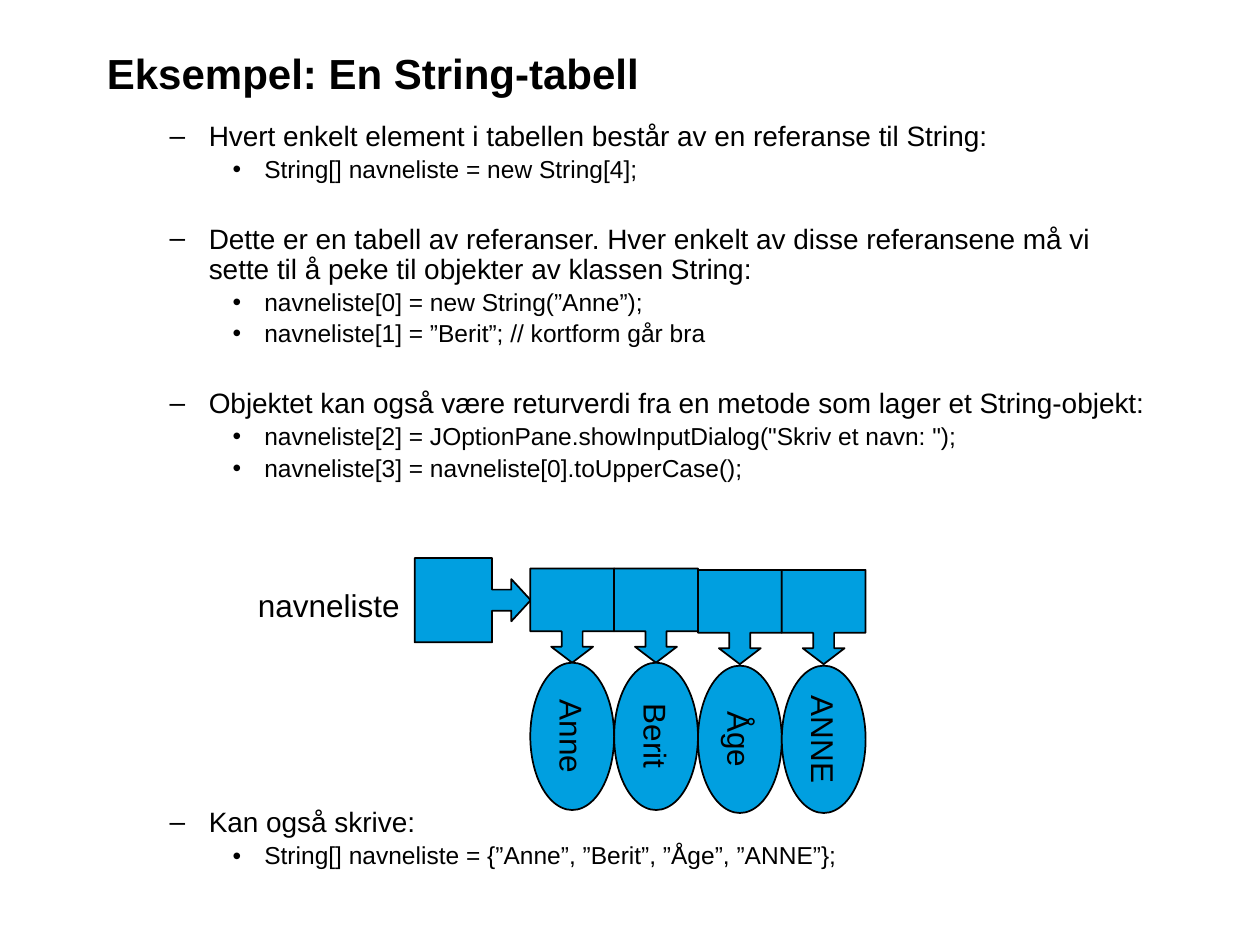
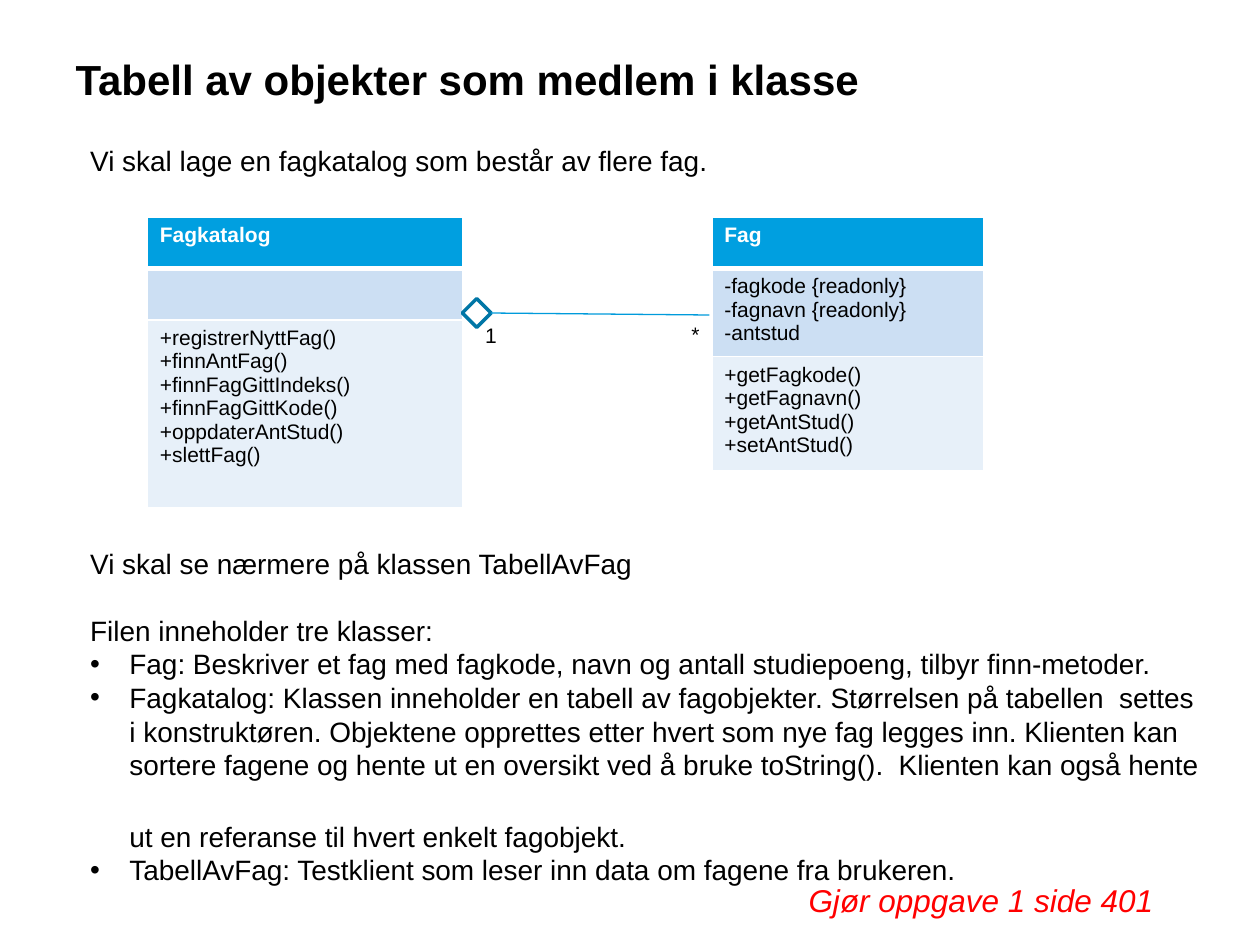
from lxml import etree
from pptx import Presentation
from pptx.dml.color import RGBColor
from pptx.enum.shapes import MSO_CONNECTOR, MSO_SHAPE
from pptx.enum.text import MSO_ANCHOR, PP_ALIGN
from pptx.oxml.ns import qn
from pptx.util import Cm, Pt

LEFT, CENTER = PP_ALIGN.LEFT, PP_ALIGN.CENTER
MIDDLE = MSO_ANCHOR.MIDDLE
RIGHT_CALLOUT = MSO_SHAPE.RIGHT_ARROW_CALLOUT
DOWN_CALLOUT = MSO_SHAPE.DOWN_ARROW_CALLOUT
OVAL, DIAMOND = MSO_SHAPE.OVAL, MSO_SHAPE.DIAMOND
STRAIGHT = MSO_CONNECTOR.STRAIGHT

FONT = "Arial"
BLACK, WHITE, RED = "000000", "FFFFFF", "FF0000"
BLUE, LINE_BLUE, DARK_BLUE = "009FE0", "009BDB", "0076A6"
ROW_FILLS = [BLUE, "CCDFF3", "E7F0F9"]


def rgb(value):
    return RGBColor.from_string(value)


def add_text(tf, text, size=16, color=BLACK, bold=False, italic=False, align=LEFT,
             bullet=None, margin=0, hang=0, before=0, spacing=None):
    """Add a paragraph; a newline in the text becomes a line break."""
    p = tf.paragraphs[0]
    if p.runs:
        p = tf.add_paragraph()
    p.alignment = align
    p.space_before = Pt(before)
    if spacing:
        p.line_spacing = spacing
    for i, part in enumerate(text.split("\n")):
        if i:
            p.add_line_break()
        r = p.add_run()
        r.text = part
        r.font.name, r.font.size = FONT, Pt(size)
        r.font.bold, r.font.italic = bold, italic
        r.font.color.rgb = rgb(color)
    if bullet:
        pPr = p._p.get_or_add_pPr()
        pPr.set("marL", str(Cm(margin)))
        pPr.set("indent", str(-Cm(hang)))
        etree.SubElement(pPr, qn("a:buFont"), typeface=FONT)
        etree.SubElement(pPr, qn("a:buChar"), char=bullet)


prs = Presentation()
prs.slide_width, prs.slide_height = Cm(25.4), Cm(19.05)

# Slides and titles
slides = []
for title, box in [
    ("Eksempel: En String-tabell", (1.9, 0.84, 21.59, 1.27)),
    ("Tabell av objekter som medlem i klasse", (1.27, 0, 20.55, 3.18)),
]:
    s = prs.slides.add_slide(prs.slide_layouts[5])
    sp = s.shapes.title
    sp.left, sp.top, sp.width, sp.height = [Cm(v) for v in box]
    sp.text_frame.vertical_anchor = MIDDLE
    add_text(sp.text_frame, title, size=24, bold=True)
    slides.append(s)
array_slide, class_slide = slides

# Slide 1: bullet text as (level, text, space before)
tf = array_slide.shapes.add_textbox(Cm(1.9), Cm(2.34), Cm(21.59), Cm(16)).text_frame
tf.word_wrap = True
levels = {
    1: dict(size=16, bullet="–", margin=2.06, hang=0.79),
    2: dict(size=14, bullet="•", margin=3.18, hang=0.64),
}
for level, text, before in [
    (1, "Hvert enkelt element i tabellen består av en referanse til String:", 3.2),
    (2, "String[] navneliste = new String[4];", 2.8),
    (1, "Dette er en tabell av referanser. Hver enkelt av disse referansene må vi "
        "sette til å peke til objekter av klassen String:", 23.5),
    (2, "navneliste[0] = new String(”Anne”);", 2.8),
    (2, "navneliste[1] = ”Berit”; // kortform går bra", 2.8),
    (1, "Objektet kan også være returverdi fra en metode som lager et String-objekt:", 23.5),
    (2, "navneliste[2] = JOptionPane.showInputDialog(\"Skriv et navn: \");", 2.8),
    (2, "navneliste[3] = navneliste[0].toUpperCase();", 2.8),
    (1, "Kan også skrive:", 186.5),
    (2, "String[] navneliste = {”Anne”, ”Berit”, ”Åge”, ”ANNE”};", 2.8),
]:
    add_text(tf, text, before=before, spacing=0.9, **levels[level])

# Slide 1: the reference, the array cells and the objects they point to
CELL = 1.69
figure = [(RIGHT_CALLOUT, 8.36, 11.25, 2.34, 1.7, "")]
for i, name in enumerate(["Anne", "Berit", "Åge", "ANNE"]):
    x, drop = 10.69 + i * CELL, 0.03 * (i // 2)
    figure.append((DOWN_CALLOUT, x, 11.46 + drop, CELL, 1.9, ""))
    figure.append((OVAL, x + (CELL - 2.97) / 2, 14 + 2 * drop, 2.97, CELL, name))

for kind, x, y, w, h, name in figure:
    sp = array_slide.shapes.add_shape(kind, Cm(x), Cm(y), Cm(w), Cm(h))
    sp.shadow.inherit = False
    sp.fill.solid()
    sp.fill.fore_color.rgb = rgb(BLUE)
    sp.line.color.rgb = rgb(BLACK)
    sp.line.width = Pt(1)
    if name:
        sp.rotation = 90
        sp.text_frame.word_wrap = False
        sp.text_frame.vertical_anchor = MIDDLE
        add_text(sp.text_frame, name, size=18, align=CENTER)
    else:
        head = 0.23 if kind == RIGHT_CALLOUT else 0.19
        for n, value in enumerate([0.25, 0.25, head, 0.667]):
            sp.adjustments[n] = value

# Slide 2: running text
tf = class_slide.shapes.add_textbox(Cm(1.57), Cm(2.77), Cm(23.01), Cm(15.47)).text_frame
tf.word_wrap = True
add_text(tf, "Vi skal lage en fagkatalog som består av flere fag.")
add_text(tf, "Vi skal se nærmere på klassen TabellAvFag", before=211)
add_text(tf, "Filen inneholder tre klasser:", before=19.1)
for text in [
    "Fag: Beskriver et fag med fagkode, navn og antall studiepoeng, tilbyr finn-metoder.",
    "Fagkatalog: Klassen inneholder en tabell av fagobjekter. Størrelsen på tabellen  settes "
    "i konstruktøren. Objektene opprettes etter hvert som nye fag legges inn. Klienten kan \n"
    "sortere fagene og hente ut en oversikt ved å bruke toString().  Klienten kan også hente \n"
    "ut en referanse til hvert enkelt fagobjekt.",
    "TabellAvFag: Testklient som leser inn data om fagene fra brukeren.",
]:
    add_text(tf, text, bullet="•", margin=0.79, hang=0.79)

# Slide 2: class boxes
for x, width, heights, rows in [
    (2.97, 6.35, [1.04, 1.04, 3.79], [
        ["Fagkatalog"],
        [],
        ["+registrerNyttFag()", "+finnAntFag()", "+finnFagGittIndeks()",
         "+finnFagGittKode()", "+oppdaterAntStud()", "+slettFag()"]]),
    (14.35, 5.49, [1.04, 1.75, 2.31], [
        ["Fag"],
        ["-fagkode {readonly}", "-fagnavn {readonly}", "-antstud"],
        ["+getFagkode()", "+getFagnavn()", "+getAntStud()", "+setAntStud()"]]),
]:
    table = class_slide.shapes.add_table(
        3, 1, Cm(x), Cm(4.37), Cm(width), Cm(sum(heights))).table
    for i, (height, lines) in enumerate(zip(heights, rows)):
        table.rows[i].height = Cm(height)
        cell = table.cell(i, 0)
        for line in lines:
            add_text(cell.text_frame, line, size=12, bold=i == 0,
                     color=BLACK if i else WHITE)
        tcPr = cell._tc.get_or_add_tcPr()
        for side in ["L", "R", "T", "B"]:
            below_header = (i, side) in [(0, "B"), (1, "T")]
            ln = etree.SubElement(tcPr, qn("a:ln" + side), w=str(Pt(3 if below_header else 1)))
            fill = etree.SubElement(ln, qn("a:solidFill"))
            etree.SubElement(fill, qn("a:srgbClr"), val=WHITE)
        cell.fill.solid()
        cell.fill.fore_color.rgb = rgb(ROW_FILLS[i])

# Slide 2: aggregation between the classes
diamond = class_slide.shapes.add_shape(DIAMOND, Cm(9.32), Cm(6.02), Cm(0.58), Cm(0.58))
diamond.shadow.inherit = False
diamond.fill.background()
diamond.line.color.rgb = rgb(DARK_BLUE)
diamond.line.width = Pt(2)
link = class_slide.shapes.add_connector(STRAIGHT, Cm(9.9), Cm(6.31), Cm(14.3), Cm(6.35))
link.begin_connect(diamond, 3)
link.line.color.rgb = rgb(LINE_BLUE)
link.line.width = Pt(0.75)
etree.SubElement(link._element.spPr, qn("a:effectLst"))

# Free labels on both slides
for s, text, x, y, w, h, wrap, style in [
    (array_slide, "navneliste", 4.95, 11.68, 3.38, 1.02, False, dict(size=18)),
    (class_slide, "1", 9.53, 6.38, 0.58, 0.76, True, dict(size=12)),
    (class_slide, "*", 13.69, 6.35, 0.58, 0.76, True, dict(size=12)),
    (class_slide, "Gjør oppgave 1 side 401", 16.05, 17.63, 7.52, 1.02, False,
     dict(size=18, color=RED, italic=True)),
]:
    tf = s.shapes.add_textbox(Cm(x), Cm(y), Cm(w), Cm(h)).text_frame
    tf.word_wrap = wrap
    add_text(tf, text, **style)

prs.save("out.pptx")
